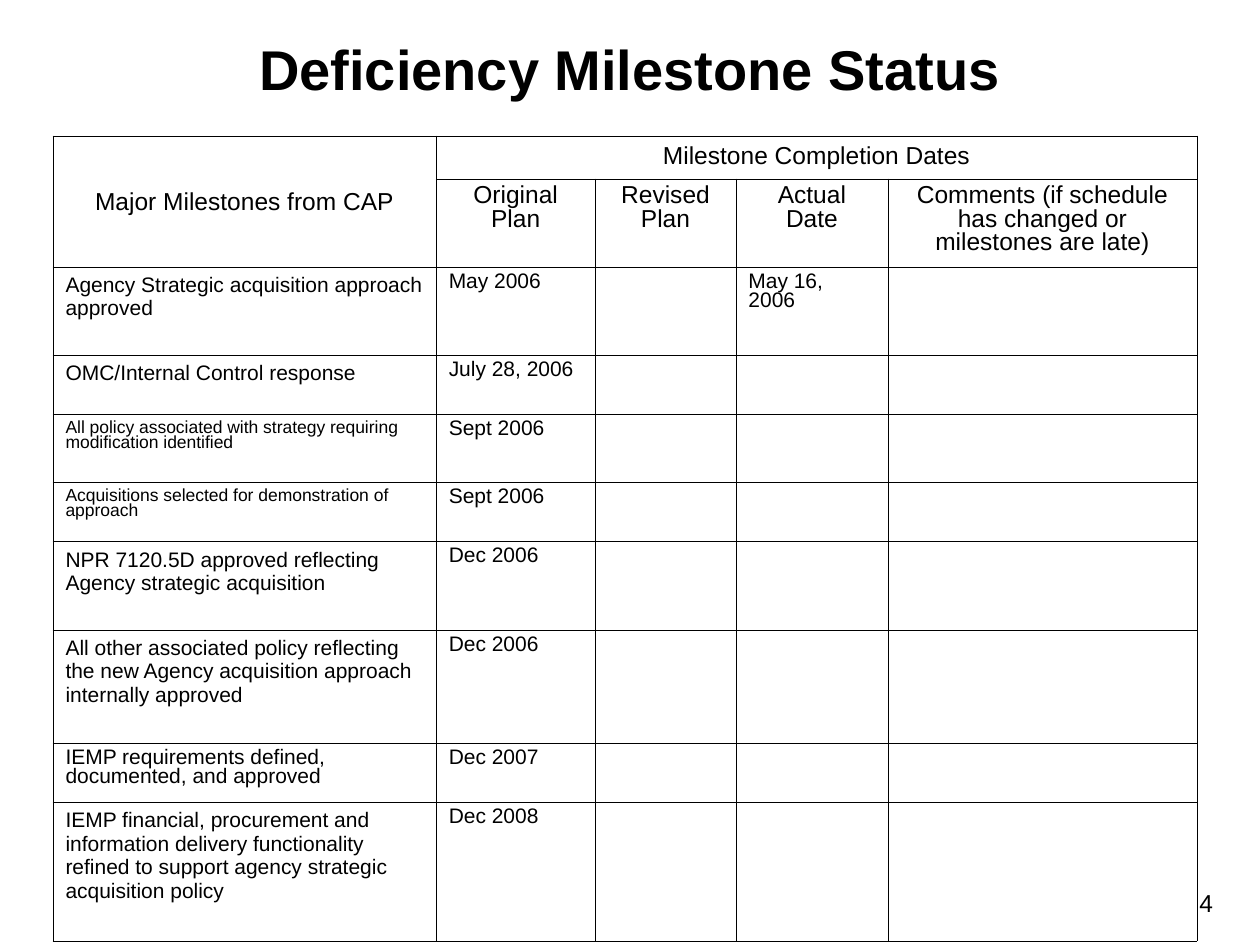
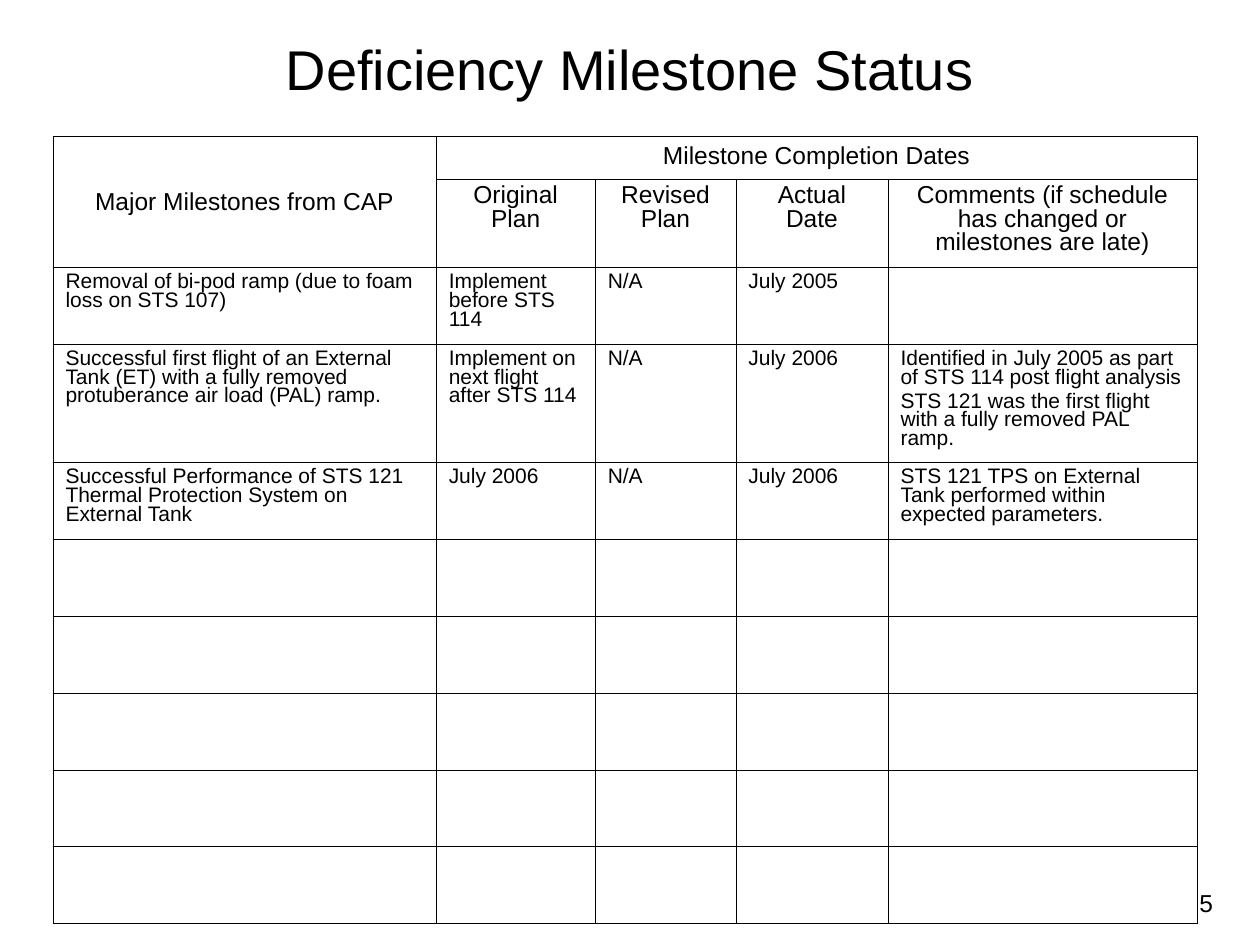
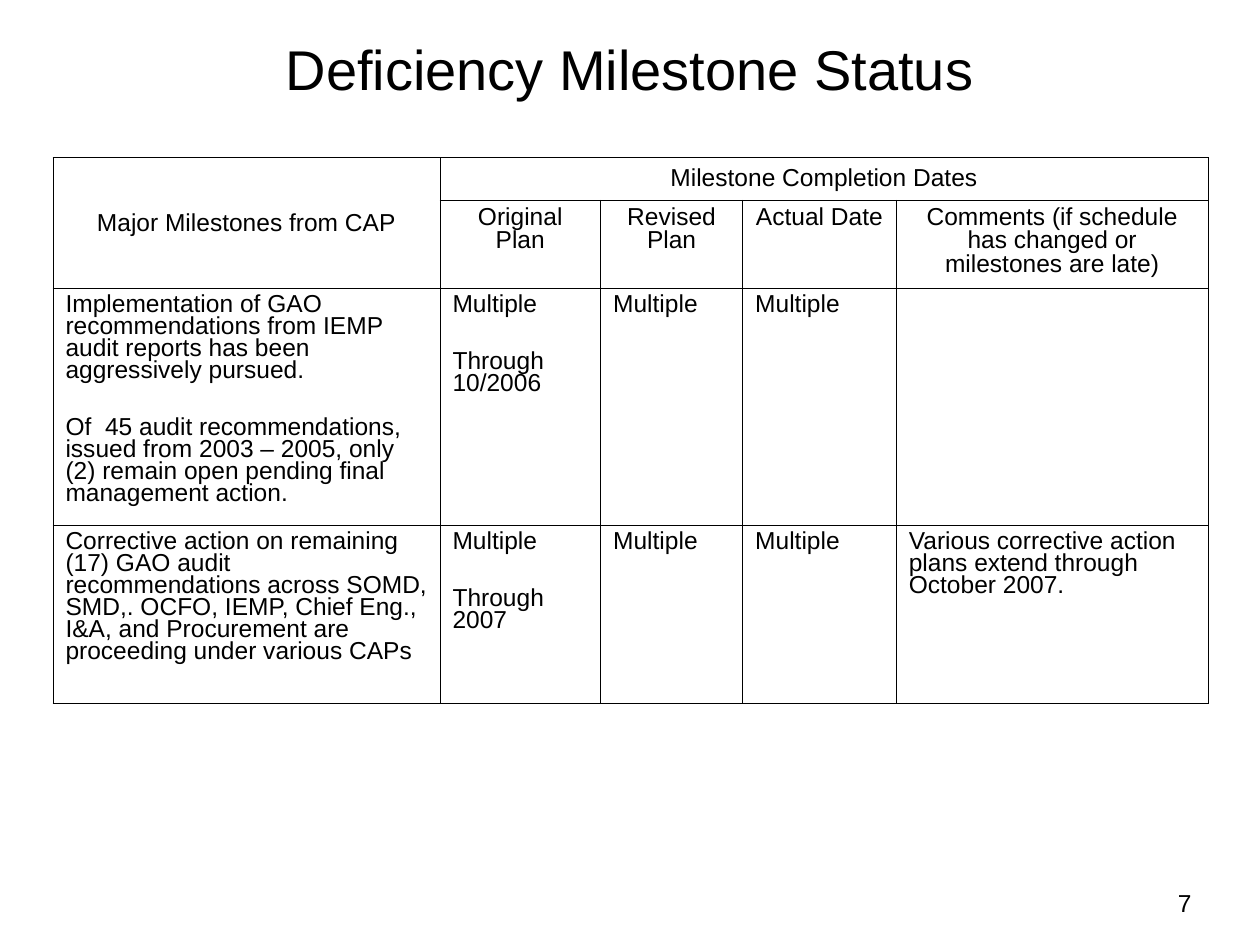
from lxml import etree
from pptx import Presentation
from pptx.dml.color import RGBColor
from pptx.enum.text import MSO_ANCHOR, MSO_AUTO_SIZE, PP_ALIGN
from pptx.oxml.ns import qn
from pptx.util import Inches, Pt

LEFT, CENTER = PP_ALIGN.LEFT, PP_ALIGN.CENTER
TOP, MIDDLE = MSO_ANCHOR.TOP, MSO_ANCHOR.MIDDLE
GROW = MSO_AUTO_SIZE.SHAPE_TO_FIT_TEXT

COLORS = {"text": "000000", "line": "000000", "page": "FFFFFF"}
FONT = "Arial"
UNIT = Inches(0.1)  # the slide is a grid of 100 columns by 75 rows
WIDE, HIGH = 100, 75
SHARES = [33.5, 13.9, 12.3, 13.3, 27]  # table columns, percent of its width
BORDER = Pt(0.45)
HEADS = ["Original Plan", "Revised Plan", "Actual Date",
         "Comments (if schedule has changed or milestones are late)"]

# name: size, line spacing, gap between paragraphs, alignment
LOOKS = {
    "title": (32, 1, 0, CENTER),
    "head": (14, 1, 0, CENTER),
    "subhead": (14, 0.85, 0, CENTER),
    "number": (14, 1, 0, LEFT),
    "loose": (12, 1, 0, LEFT),
    "tight": (12, 0.8, 3, LEFT),
    "small": (10, 0.8, 2.5, LEFT),
    "large": (14, 0.8, 20, LEFT),
}

# each row: height, look of the milestone, then the cells from the left
POLICY = [
    (7, "loose", "Agency Strategic acquisition approach approved",
     "May 2006", "", "May 16, 2006"),
    (4.7, "loose", "OMC/Internal Control response", "July 28, 2006"),
    (5.4, "small", "All policy associated with strategy requiring "
     "modification identified", "Sept 2006"),
    (4.7, "small", "Acquisitions selected for demonstration of approach",
     "Sept 2006"),
    (7, "loose", "NPR 7120.5D approved reflecting Agency strategic acquisition",
     "Dec 2006"),
    (9, "loose", "All other associated policy reflecting the new Agency "
     "acquisition approach internally approved", "Dec 2006"),
    (4.7, "tight", "IEMP requirements defined, documented, and approved",
     "Dec 2007"),
    (11, "loose", "IEMP financial, procurement and information delivery "
     "functionality refined to support agency strategic acquisition policy",
     "Dec 2008"),
]
FLIGHT = [
    (6.1, "tight", "Removal of bi-pod ramp (due to foam loss on STS 107)",
     "Implement before STS 114", "N/A", "July 2005"),
    (9.4, "tight", "Successful first flight of an External Tank (ET) with a "
     "fully removed protuberance air load (PAL) ramp.",
     "Implement on next flight after STS 114", "N/A", "July 2006",
     "Identified in July 2005 as part of STS 114 post flight analysis\n"
     "STS 121 was the first flight with a fully removed PAL ramp."),
    (6.1, "tight", "Successful Performance of STS 121 Thermal Protection "
     "System on External Tank", "July 2006", "N/A", "July 2006",
     "STS 121 TPS on External Tank performed within expected parameters."),
] + [(6.1, "tight")] * 5
AUDIT = [
    (18.8, "large", "Implementation of GAO recommendations from IEMP audit "
     "reports has been aggressively pursued.\n"
     "Of  45 audit recommendations, issued from 2003 – 2005, only (2) remain "
     "open pending final management action.",
     "Multiple\nThrough 10/2006", "Multiple", "Multiple"),
    (14.1, "large", "Corrective action on remaining (17) GAO audit "
     "recommendations across SOMD, SMD,. OCFO, IEMP, Chief Eng., I&A, and "
     "Procurement are proceeding under various CAPs",
     "Multiple\nThrough 2007", "Multiple", "Multiple",
     "Various corrective action plans extend through October 2007."),
]


def grid(*units):
    return [round(unit * UNIT) for unit in units]


class Deck:
    def __init__(self):
        self.prs = Presentation()
        self.prs.slide_width, self.prs.slide_height = grid(WIDE, HIGH)
        self.slide = None

    def page(self):
        self.slide = self.prs.slides.add_slide(self.prs.slide_layouts[6])
        fill = self.slide.background.fill
        fill.solid()
        fill.fore_color.rgb = RGBColor.from_string(COLORS["page"])

    def put(self, frame, text, look, bold=False):
        """Fill a text frame with paragraphs in the named look."""
        size, lead, gap, align = LOOKS[look]
        frame.word_wrap = True
        frame.text = text
        for i, para in enumerate(frame.paragraphs):
            para.alignment = align
            para.line_spacing = lead
            para.space_before = Pt(gap if i else 0)
            font = para.font
            font.name, font.size, font.bold = FONT, Pt(size), bold
            font.color.rgb = RGBColor.from_string(COLORS["text"])

    def label(self, box, text, look, bold=False, anchor=TOP):
        frame = self.slide.shapes.add_textbox(*grid(*box)).text_frame
        self.put(frame, text, look, bold)
        frame.vertical_anchor = anchor
        return frame

    def title(self, text, bold):
        self.label((5, 0, 90, 10.8), text, "title", bold, MIDDLE)

    def number(self, left, text):
        self.label((left, 70, 4.2, 3.4), text, "number").auto_size = GROW

    def frame(self, cell):
        """Give a cell thin lines on all sides and no fill."""
        props = cell._tc.get_or_add_tcPr()
        for side in "LRTB":
            line = etree.SubElement(props, qn(f"a:ln{side}"), w=str(BORDER))
            fill = etree.SubElement(line, qn("a:solidFill"))
            etree.SubElement(fill, qn("a:srgbClr"), val=COLORS["line"])
        cell.fill.background()

    def table(self, top, width, rows, look):
        heights = [3.4, 7] + [row[0] for row in rows]
        box = grid(4.2, top, width, sum(heights))
        table = self.slide.shapes.add_table(
            len(heights), len(SHARES), *box).table
        table.first_row = table.horz_banding = False
        for col, share in zip(table.columns, SHARES):
            col.width = round(box[2] * share / 100)
        for row, height in zip(table.rows, grid(*heights)):
            row.height = height
        for cell in table.iter_cells():
            self.frame(cell)

        corner, dates = table.cell(0, 0), table.cell(0, 1)
        corner.merge(table.cell(1, 0))
        dates.merge(table.cell(0, len(SHARES) - 1))
        corner.vertical_anchor = MIDDLE
        self.put(corner.text_frame, "Major Milestones from CAP", "head")
        self.put(dates.text_frame, "Milestone Completion Dates", "head")
        for c, head in enumerate(HEADS, 1):
            self.put(table.cell(1, c).text_frame, head, "subhead")
        for r, (_, first, *texts) in enumerate(rows, 2):
            for c, text in enumerate(texts):
                if text:
                    self.put(table.cell(r, c).text_frame, text,
                             look if c else first)


def main():
    deck = Deck()
    # bold title, table top and width, rows, look of cells, number and its left
    pages = [
        (True, 10.8, 90.8, POLICY, "tight", "4", 94.2),
        (False, 10.8, 90.8, FLIGHT, "tight", "5", 94.2),
        (False, 12.5, 91.7, AUDIT, "large", "7", 92.5),
    ]
    for bold, top, width, rows, look, number, left in pages:
        deck.page()
        deck.title("Deficiency Milestone Status", bold)
        deck.table(top, width, rows, look)
        deck.number(left, number)
    deck.prs.save("out.pptx")


if __name__ == "__main__":
    main()
